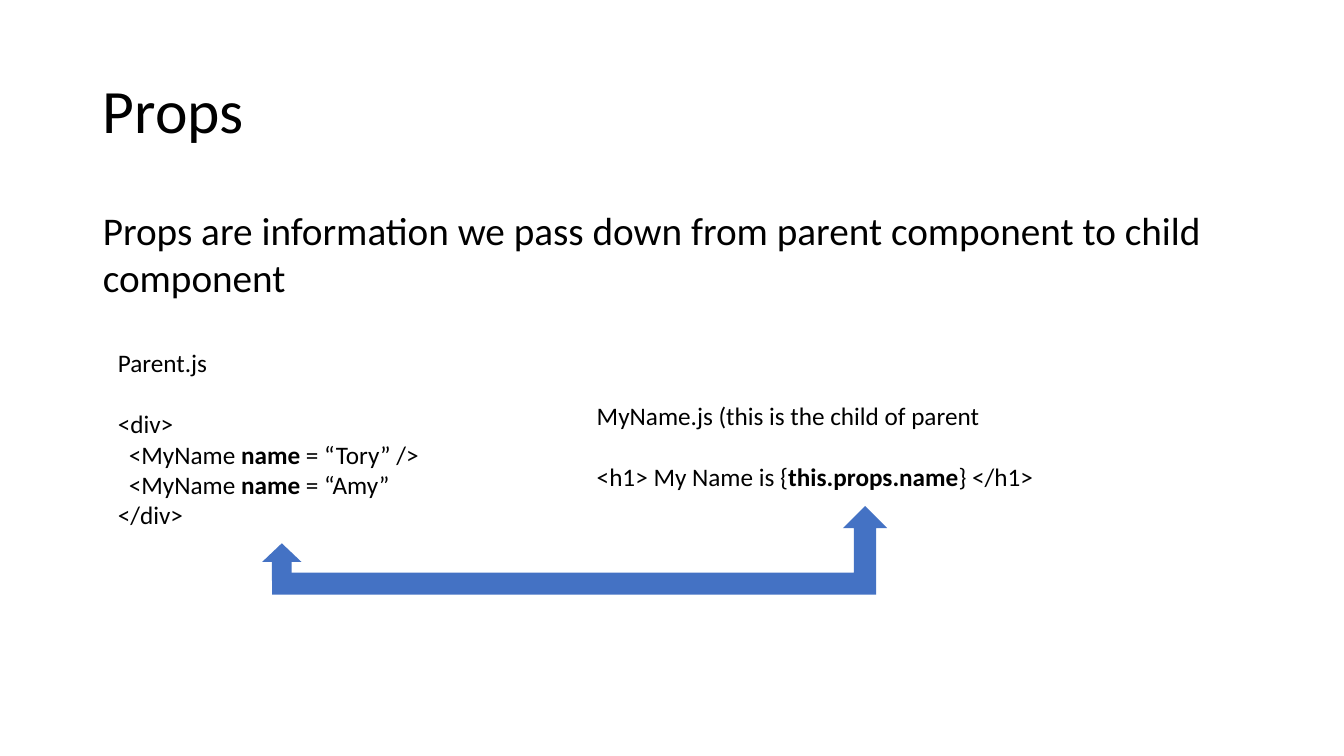
from pptx import Presentation
from pptx.dml.color import RGBColor
from pptx.enum.shapes import MSO_SHAPE
from pptx.enum.text import MSO_ANCHOR, MSO_AUTO_SIZE, PP_ALIGN
from pptx.oxml.ns import qn
from pptx.util import Inches, Pt

BENT = MSO_SHAPE.BENT_UP_ARROW
UP = MSO_SHAPE.UP_ARROW
LEFT = PP_ALIGN.LEFT
TOP, MIDDLE = MSO_ANCHOR.TOP, MSO_ANCHOR.MIDDLE
NO_FIT = MSO_AUTO_SIZE.NONE

FONT = "Calibri"
COLORS = {"text": "000000", "arrow": "4472C4"}
TAG_INDENT = Inches(0.11)
CODE_GAP = Pt(22)


def color(name):
    return RGBColor.from_string(COLORS[name])


def style(para, size):
    para.alignment = LEFT
    para.font.name = FONT
    para.font.size = Pt(size)
    para.font.color.rgb = color("text")


def place(shape, box):
    shape.left, shape.top, shape.width, shape.height = map(Inches, box)


def fill_holder(holder, box, text, size, anchor, spacing):
    """Move a placeholder and give it one unbulleted paragraph."""
    place(holder, box)
    frame = holder.text_frame
    frame.text = text
    frame.auto_size = NO_FIT
    frame.vertical_anchor = anchor
    para = frame.paragraphs[0]
    style(para, size)
    para.space_before = Pt(0)
    para.line_spacing = spacing
    props = para._p.get_or_add_pPr()
    props.set("marL", "0")
    props.set("indent", "0")
    props.append(props.makeelement(qn("a:buNone"), {}))


def add_code(slide, box, file, lines):
    """Add a file name and its code; a line is (indent level, plain, bold, plain)."""
    frame = slide.shapes.add_textbox(*map(Inches, box)).text_frame
    frame.word_wrap = True
    head = frame.paragraphs[0]
    head.text = file
    head.space_after = CODE_GAP
    style(head, 18)
    for level, *parts in lines:
        para = frame.add_paragraph()
        style(para, 18)
        para._p.get_or_add_pPr().set("marL", str(level * TAG_INDENT))
        for i, part in enumerate(parts):
            run = para.add_run()
            run.text = part
            if i == 1:
                run.font.bold = True


def add_arrow(slide, kind, box):
    arrow = slide.shapes.add_shape(kind, *map(Inches, box))
    arrow.shadow.inherit = False
    arrow.fill.solid()
    arrow.fill.fore_color.rgb = color("arrow")
    arrow.line.fill.background()


def main():
    prs = Presentation()
    prs.slide_width, prs.slide_height = Inches(13.33), Inches(7.5)
    slide = prs.slides.add_slide(prs.slide_layouts[1])
    title, body = slide.placeholders
    fill_holder(title, (0.92, 0.4, 11.5, 1.45), "Props", 44, MIDDLE, 0.9)
    fill_holder(
        body, (0.92, 2, 11.5, 1.34),
        "Props are information we pass down from parent component to child component",
        28, TOP, 1.0)

    add_code(slide, (1.07, 3.4, 4.75, 2.22), "Parent.js", [
        (0, "<div>"),
        (1, "<MyName ", "name", " = “Tory” />"),
        (1, "<MyName ", "name", " = “Amy”"),
        (0, "</div>"),
    ])
    add_code(slide, (5.82, 3.92, 5.25, 1.01), "MyName.js (this is the child of parent", [
        (0, "<h1> My Name is {", "this.props.name", "} </h1>"),
    ])

    add_arrow(slide, BENT, (2.7, 5.02, 6.1, 0.88))
    add_arrow(slide, UP, (2.6, 5.39, 0.39, 0.37))
    prs.save("out.pptx")


if __name__ == "__main__":
    main()
